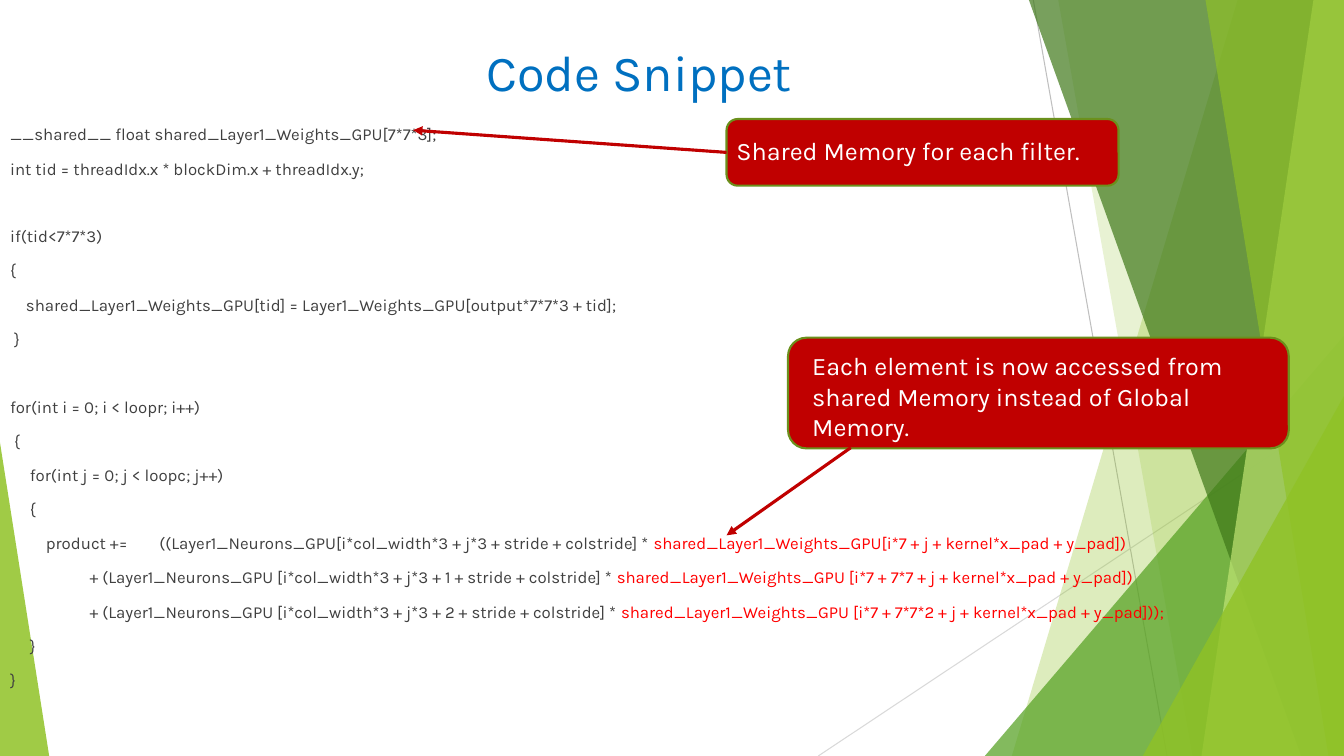
from typing import NamedTuple

from lxml import etree
from pptx import Presentation
from pptx import util as u
from pptx.dml.color import RGBColor
from pptx.enum import shapes, text
from pptx.oxml.ns import qn

WIDE, HIGH = 33.87, 19.05
FONT = "Karla"
LIME, DARK, RED, GREY = "90C226", "404040", "C00000", "BFBFBF"
GAP, SKIP = 10, 34


class Wedge(NamedTuple):
    top: float
    base: float
    hue: str
    alpha: int


class Peak(NamedTuple):
    left: float
    top: float
    wide: float
    high: float
    tip: float
    hue: str
    alpha: int


class Line(NamedTuple):
    code: str
    hot: str = ""
    gap: int = GAP


class Note(NamedTuple):
    words: str
    box: tuple
    area: tuple
    start: tuple
    end: tuple


RAYS = [((26.04, 0), (29.41, HIGH), GREY), ((WIDE, 10.24), (20.62, HIGH), "D9D9D9")]

DECOR = [
    Wedge(31.19, 25.5, LIME, 30),
    Wedge(26.67, 30.05, LIME, 20),
    Peak(24.82, 8.46, 9.05, 10.59, 1, "54A021", 72),
    Wedge(25.93, 32.79, "3F7819", 70),
    Wedge(33.1, 30.28, "C0E474", 70),
    Wedge(30.38, 33.48, LIME, 65),
    Peak(28.8, 9.98, 5.07, 9.07, 1, LIME, 80),
    Peak(0, 11.15, 1.24, 7.9, 0, LIME, 85),
]

CODE = [
    Line("__shared__ float shared_Layer1_Weights_GPU[7*7*3];", gap=0),
    Line("int tid = threadIdx.x * blockDim.x + threadIdx.y;"),
    Line("if(tid<7*7*3)", gap=SKIP),
    Line("{"),
    Line("    shared_Layer1_Weights_GPU[tid] = Layer1_Weights_GPU[output*7*7*3 + tid];"),
    Line(" }"),
    Line("for(int i = 0; i < loopr; i++)", gap=SKIP),
    Line(" {"),
    Line("     for(int j = 0; j < loopc; j++)"),
    Line("     {"),
    Line("         product +=        ((Layer1_Neurons_GPU[i*col_width*3 + j*3 + stride + colstride] * ",
         "shared_Layer1_Weights_GPU[i*7 + j + kernel*x_pad + y_pad])"),
    Line("                    + (Layer1_Neurons_GPU [i*col_width*3 + j*3 + 1 + stride + colstride] * ",
         "shared_Layer1_Weights_GPU [i*7 + 7*7 + j + kernel*x_pad + y_pad])"),
    Line("                    + (Layer1_Neurons_GPU [i*col_width*3 + j*3 + 2 + stride + colstride] * ",
         "shared_Layer1_Weights_GPU [i*7 + 7*7*2 + j + kernel*x_pad + y_pad]));"),
    Line("     }"),
    Line("}"),
]

NOTES = [
    Note("Shared Memory for each filter.", (18.31, 3, 9.88, 1.68),
         (18.31, 3.28, 9.37, 1.02), (18.31, 3.84), (10.41, 3.28)),
    Note("Each element is now accessed from shared Memory instead of Global Memory.",
         (19.86, 8.51, 12.62, 2.79), (20.22, 8.71, 12.27, 2.57),
         (21.44, 11.28), (18.31, 13.49)),
]


def tint(form, hue: str) -> None:
    form.rgb = RGBColor.from_string(hue)


def lengths(*sizes: float) -> list:
    return [u.Cm(size) for size in sizes]


def place(shape, *sizes: float) -> None:
    shape.left, shape.top, shape.width, shape.height = lengths(*sizes)


def paint(shape, hue: str, alpha: int = 100, edge: str = "") -> None:
    shape.shadow.inherit = False
    shape.fill.solid()
    tint(shape.fill.fore_color, hue)
    if alpha < 100:
        tone = shape.element.spPr.find(qn("a:solidFill"))[0]
        etree.SubElement(tone, qn("a:alpha"), val=str(alpha * 1000))
    if edge:
        tint(shape.line.color, edge)
        shape.line.width = u.Pt(1.5)
    else:
        shape.line.fill.background()


def write(par, words: str, *, size: int, hue: str, align=text.PP_ALIGN.LEFT, gap: int = 0) -> None:
    par.alignment = align
    par.space_before = u.Pt(gap)
    run = par.add_run()
    run.text = words
    run.font.name = FONT
    run.font.size = u.Pt(size)
    tint(run.font.color, hue)


def draw_line(slide, start: tuple, end: tuple, hue: str, width: float, arrow: bool = False) -> None:
    line = slide.shapes.add_connector(shapes.MSO_CONNECTOR.STRAIGHT, *lengths(*start, *end))
    tint(line.line.color, hue)
    line.line.width = u.Pt(width)
    if arrow:
        etree.SubElement(line.line._get_or_add_ln(), qn("a:tailEnd"), type="triangle")
    etree.SubElement(line.element.spPr, qn("a:effectLst"))


def draw_wedge(slide, wedge: Wedge) -> None:
    path = slide.shapes.build_freeform(*lengths(wedge.top, 0))
    ends = [(WIDE, 0), (WIDE, HIGH), (wedge.base, HIGH)]
    path.add_line_segments([lengths(*end) for end in ends], close=True)
    paint(path.convert_to_shape(), wedge.hue, wedge.alpha)


def draw_peak(slide, peak: Peak) -> None:
    shape = slide.shapes.add_shape(shapes.MSO_SHAPE.ISOSCELES_TRIANGLE, *lengths(*peak[:4]))
    shape.adjustments[0] = peak.tip
    paint(shape, peak.hue, peak.alpha)


def draw_note(slide, note: Note) -> None:
    box = slide.shapes.add_shape(shapes.MSO_SHAPE.ROUNDED_RECTANGLE, *lengths(*note.box))
    paint(box, RED, edge="6B901C")
    frame = slide.shapes.add_textbox(*lengths(*note.area)).text_frame
    frame.word_wrap = True
    write(frame.paragraphs[0], note.words, size=18, hue="FFFFFF")
    draw_line(slide, note.start, note.end, RED, 2.25, arrow=True)


def fill_title(title) -> None:
    place(title, 4.17, 0.7, 23.88, 2.21)
    title.text_frame.vertical_anchor = text.MSO_ANCHOR.MIDDLE
    write(title.text_frame.paragraphs[0], "Code Snippet", size=36, hue="0070C0",
          align=text.PP_ALIGN.CENTER)


def fill_code(body) -> None:
    place(body, 0, 3, 33.17, 16.05)
    frame = body.text_frame
    frame.auto_size = text.MSO_AUTO_SIZE.NONE
    for rank, line in enumerate(CODE):
        par = frame.add_paragraph() if rank else frame.paragraphs[0]
        props = par._p.get_or_add_pPr()
        props.set("marL", "0")
        props.set("indent", "0")
        etree.SubElement(props, qn("a:buNone"))
        write(par, line.code, size=12, hue=DARK, gap=line.gap)
        if line.hot:
            write(par, line.hot, size=12, hue="FF0000", gap=line.gap)


def main() -> None:
    deck = Presentation()
    deck.slide_width, deck.slide_height = lengths(WIDE, HIGH)
    slide = deck.slides.add_slide(deck.slide_layouts[1])
    title, body = slide.placeholders
    for start, end, hue in RAYS:
        draw_line(slide, start, end, hue, 0.75)
    for part in DECOR:
        if isinstance(part, Wedge):
            draw_wedge(slide, part)
        else:
            draw_peak(slide, part)
    for holder in (title, body):
        holder.element.getparent().append(holder.element)
    fill_title(title)
    fill_code(body)
    for note in NOTES:
        draw_note(slide, note)
    deck.save("out.pptx")


if __name__ == "__main__":
    main()
